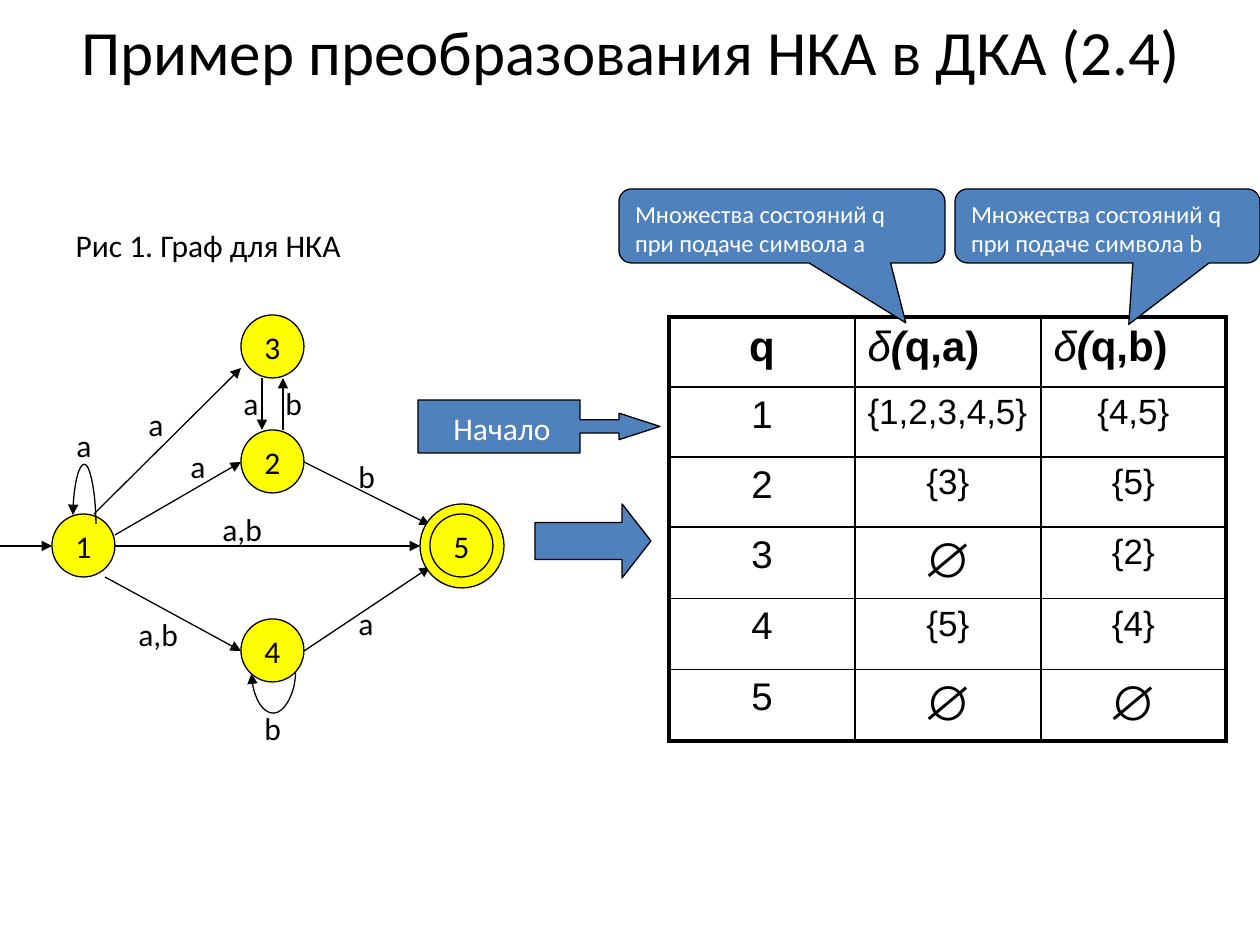
from dataclasses import dataclass

from lxml.etree import SubElement
from pptx import Presentation
from pptx.dml.color import RGBColor
from pptx.enum.shapes import MSO_CONNECTOR as Link, MSO_SHAPE as Preset
from pptx.enum.text import MSO_ANCHOR as Anchor, MSO_AUTO_SIZE as AutoSize, PP_ALIGN as Align
from pptx.oxml.ns import qn
from pptx.util import Emu, Pt

BLACK = RGBColor(0, 0, 0)
WHITE = RGBColor(255, 255, 255)
YELLOW = RGBColor(255, 255, 0)
BLUE = RGBColor(0x4F, 0x81, 0xBD)

PX_PER_INCH = 126
NODE_SIZE = 63
LABEL_HEIGHT = 50
LABEL_WIDTHS = {"a": 40, "b": 43, "a,b": 69}
THIN, THICK = Pt(1), Pt(2.25)


def px(value: int) -> Emu:
    return Emu(round(value * 914400 / PX_PER_INCH))


@dataclass(frozen=True)
class Node:
    name: str
    left: int
    top: int


@dataclass(frozen=True)
class Edge:
    start: tuple[int, int]
    end: tuple[int, int]


@dataclass(frozen=True)
class Loop:
    """A curve given by its box before a quarter turn; bulge is its depth."""
    start: tuple[int, int]
    end: tuple[int, int]
    bulge: int


@dataclass(frozen=True)
class Label:
    text: str
    left: int
    top: int


@dataclass(frozen=True)
class Block:
    preset: Preset
    box: tuple[int, int, int, int]
    adjustments: tuple[float, ...]
    text: str = ""


NODES = [Node("1", 52, 514), Node("3", 241, 315), Node("2", 241, 430), Node("4", 241, 619)]
FINAL_NODE = Node("5", 430, 514)
FINAL_RING = (420, 504, 84, 84)
EDGES = [
    Edge((94, 514), (241, 368)), Edge((115, 535), (241, 462)),
    Edge((115, 546), (420, 546)), Edge((105, 577), (241, 651)),
    Edge((304, 462), (430, 525)), Edge((304, 651), (430, 567)),
    Edge((0, 546), (52, 546)), Edge((262, 378), (262, 430)),
    Edge((283, 430), (283, 378)),
]
LOOPS = [Loop((89, 508), (80, 531), 60), Loop((273, 651), (274, 695), 41)]
LABELS = [
    Label("a", 64, 420), Label("a", 136, 399), Label("a", 178, 441),
    Label("a", 231, 378), Label("a", 346, 598), Label("b", 346, 451),
    Label("b", 252, 703), Label("b", 273, 378),
    Label("a,b", 210, 504), Label("a,b", 126, 609),
]
TABLE_ARROW = Block(Preset.RIGHT_ARROW, (535, 504, 116, 74), (0.5, 0.39))
START_ARROW = Block(Preset.RIGHT_ARROW_CALLOUT, (418, 400, 242, 53), (0.25, 0.25, 0.77, 0.67))
CALLOUTS = [
    Block(Preset.ROUNDED_RECTANGULAR_CALLOUT, (619, 189, 326, 74), (0.38, 1.31, 0.17),
          "Множества состояний q при подаче символа a"),
    Block(Preset.ROUNDED_RECTANGULAR_CALLOUT, (955, 189, 305, 74), (0.07, 1.33, 0.17),
          "Множества состояний q при подаче символа b"),
]
TABLE_BOX = (669, 317, 557, 423)
COLUMN_WIDTHS = (186, 186, 185)
ROW_HEIGHTS = (70, 70, 70, 71, 71, 71)
HEADER_SYMBOLS = ("a", "b")
TRANSITIONS = [
    ("1", "{1,2,3,4,5}", "{4,5}"), ("2", "{3}", "{5}"), ("3", "∅", "{2}"),
    ("4", "{5}", "{4}"), ("5", "∅", "∅"),
]


def add_run(paragraph, text: str, size: int, color: RGBColor = BLACK, font: str = "Calibri",
            bold: bool = False, italic: bool = False) -> None:
    run = paragraph.add_run()
    run.text = text
    run.font.size, run.font.name = Pt(size), font
    run.font.bold, run.font.italic = bold, italic
    run.font.color.rgb = color


def add_filled_shape(slide, preset: Preset, box: tuple[int, int, int, int], fill: RGBColor):
    shape = slide.shapes.add_shape(preset, *map(px, box))
    shape.shadow.inherit = False
    shape.fill.solid()
    shape.fill.fore_color.rgb = fill
    shape.line.color.rgb = BLACK
    shape.line.width = Pt(0.75)
    return shape


def add_node(slide, node: Node) -> None:
    box = (node.left, node.top, NODE_SIZE, NODE_SIZE)
    frame = add_filled_shape(slide, Preset.OVAL, box, YELLOW).text_frame
    frame.word_wrap = False
    frame.vertical_anchor = Anchor.MIDDLE
    frame.paragraphs[0].alignment = Align.CENTER
    add_run(frame.paragraphs[0], node.name, 18)


def add_arrow(slide, kind: Link, start: tuple[int, int], end: tuple[int, int]):
    connector = slide.shapes.add_connector(kind, *map(px, start + end))
    connector.line.color.rgb = BLACK
    connector.line.width = Pt(0.75)
    properties = connector.element.spPr
    SubElement(properties.find(qn("a:ln")), qn("a:tailEnd"), type="triangle")
    SubElement(properties, qn("a:effectLst"))
    return connector


def add_loop(slide, loop: Loop) -> None:
    properties = add_arrow(slide, Link.CURVE, loop.start, loop.end).element.spPr
    properties.find(qn("a:xfrm")).set("rot", str(90 * 60000))
    ratio = loop.bulge / abs(loop.end[0] - loop.start[0])
    guides = properties.find(qn("a:prstGeom")).find(qn("a:avLst"))
    SubElement(guides, qn("a:gd"), name="adj1", fmla=f"val {round(ratio * 100000)}")


def add_text_box(slide, text: str, box: tuple[int, int, int, int], color: RGBColor, wrap: bool) -> None:
    frame = slide.shapes.add_textbox(*map(px, box)).text_frame
    frame.word_wrap = wrap
    frame.auto_size = AutoSize.SHAPE_TO_FIT_TEXT
    add_run(frame.paragraphs[0], text, 18, color)


def add_block(slide, block: Block) -> None:
    shape = add_filled_shape(slide, block.preset, block.box, BLUE)
    for index, value in enumerate(block.adjustments):
        shape.adjustments[index] = value
    if block.text:
        shape.text_frame.vertical_anchor = Anchor.TOP
        paragraph = shape.text_frame.paragraphs[0]
        paragraph.alignment = Align.LEFT
        add_run(paragraph, block.text, 14, WHITE)


def set_borders(cell, row: int, column: int) -> None:
    """Draw thick lines on the table's outline and thin ones inside it."""
    outer = {"L": column == 0, "R": column == len(COLUMN_WIDTHS) - 1,
             "T": row == 0, "B": row == len(ROW_HEIGHTS) - 1}
    properties = cell._tc.get_or_add_tcPr()
    for side, is_outer in outer.items():
        line = SubElement(properties, qn(f"a:ln{side}"), w=str(THICK if is_outer else THIN))
        SubElement(SubElement(line, qn("a:solidFill")), qn("a:srgbClr"), val=str(BLACK))


def add_transition_table(slide) -> None:
    shape = slide.shapes.add_table(len(ROW_HEIGHTS), len(COLUMN_WIDTHS), *map(px, TABLE_BOX))
    table = shape.table
    table.first_row = table.horz_banding = False
    for column, width in zip(table.columns, COLUMN_WIDTHS):
        column.width = px(width)
    for row, height in zip(table.rows, ROW_HEIGHTS):
        row.height = px(height)
    for row in range(len(ROW_HEIGHTS)):
        for column in range(len(COLUMN_WIDTHS)):
            cell = table.cell(row, column)
            set_borders(cell, row, column)
            cell.fill.background()
            paragraph = cell.text_frame.paragraphs[0]
            if row == 0 and column > 0:
                add_run(paragraph, "δ", 24, font="Arial", italic=True)
                add_run(paragraph, "(", 24, font="Arial", bold=True, italic=True)
                add_run(paragraph, f"q,{HEADER_SYMBOLS[column - 1]})", 24, font="Arial", bold=True)
                continue
            text = TRANSITIONS[row - 1][column] if row else "q"
            size = 24 if row == 0 else 22 if column == 0 else 28 if text == "∅" else 20
            paragraph.alignment = Align.LEFT if (row, column) == (1, 1) else Align.CENTER
            add_run(paragraph, text, size, font="Arial", bold=row == 0)


def fill_placeholder(placeholder, box: tuple[int, int, int, int], text: str, size: int):
    placeholder.left, placeholder.top, placeholder.width, placeholder.height = map(px, box)
    placeholder.text_frame.auto_size = AutoSize.NONE
    paragraph = placeholder.text_frame.paragraphs[0]
    add_run(paragraph, text, size)
    return paragraph


def main() -> None:
    presentation = Presentation()
    presentation.slide_width, presentation.slide_height = px(1260), px(945)
    slide = presentation.slides.add_slide(presentation.slide_layouts[1])
    title, body = slide.placeholders
    fill_placeholder(title, (25, 6, 1211, 88), "Пример преобразования НКА в ДКА (2.4)", 36)
    caption = fill_placeholder(body, (63, 220, 557, 624), "Рис 1. Граф для НКА", 18)
    SubElement(caption._p.get_or_add_pPr(), qn("a:buNone"))

    for node in NODES:
        add_node(slide, node)
    for edge in EDGES:
        add_arrow(slide, Link.STRAIGHT, edge.start, edge.end)
    for loop in LOOPS:
        add_loop(slide, loop)
    add_filled_shape(slide, Preset.OVAL, FINAL_RING, YELLOW)
    add_node(slide, FINAL_NODE)
    for label in LABELS:
        box = (label.left, label.top, LABEL_WIDTHS[label.text], LABEL_HEIGHT)
        add_text_box(slide, label.text, box, BLACK, wrap=False)

    add_block(slide, TABLE_ARROW)
    add_transition_table(slide)
    add_block(slide, START_ARROW)
    add_text_box(slide, "Начало", (441, 403, 179, LABEL_HEIGHT), WHITE, wrap=True)
    for callout in CALLOUTS:
        add_block(slide, callout)
    presentation.save("out.pptx")


if __name__ == "__main__":
    main()
